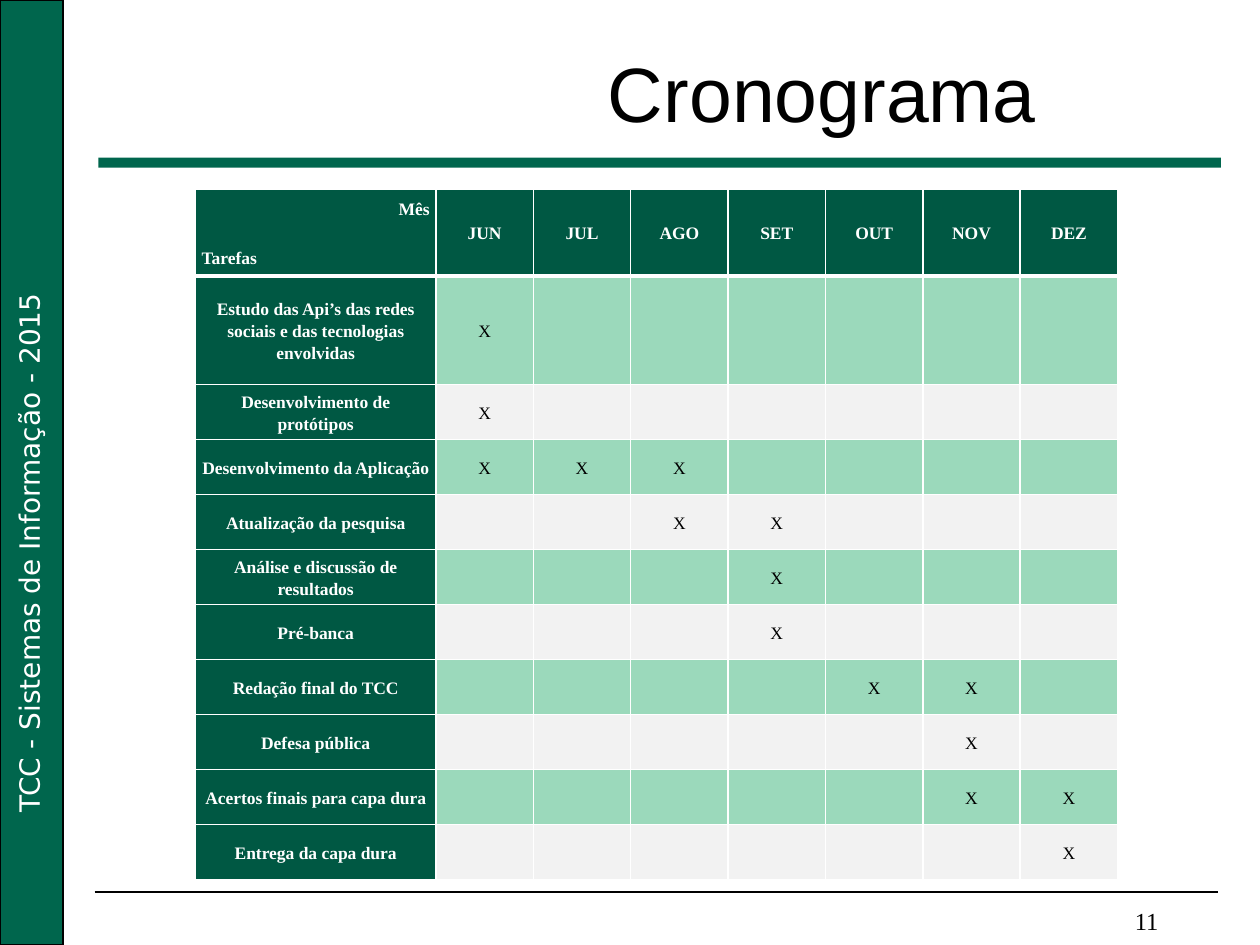
from lxml.etree import SubElement
from pptx import Presentation
from pptx.dml.color import RGBColor
from pptx.enum.shapes import MSO_CONNECTOR, MSO_SHAPE
from pptx.enum.text import MSO_ANCHOR, PP_ALIGN
from pptx.oxml import parse_xml
from pptx.oxml.ns import nsdecls, qn
from pptx.util import Inches, Pt

# Content
TITLE = "Cronograma"
SIDE_LABEL = "TCC - Sistemas de Informação - 2015"
PAGE_NUMBER = "11"
CORNER = ("Mês", "Tarefas")
MONTHS = ["JUN", "JUL", "AGO", "SET", "OUT", "NOV", "DEZ"]
TASKS = [
    ("Estudo das Api’s das redes sociais e das tecnologias envolvidas", ["JUN"]),
    ("Desenvolvimento de protótipos", ["JUN"]),
    ("Desenvolvimento da Aplicação", ["JUN", "JUL", "AGO"]),
    ("Atualização da pesquisa", ["AGO", "SET"]),
    ("Análise e discussão de resultados", ["SET"]),
    ("Pré-banca", ["SET"]),
    ("Redação final do TCC", ["OUT", "NOV"]),
    ("Defesa pública", ["NOV"]),
    ("Acertos finais para capa dura", ["NOV", "DEZ"]),
    ("Entrega da capa dura", ["DEZ"]),
]

# Style
BLACK = RGBColor(0x00, 0x00, 0x00)
WHITE = RGBColor(0xFF, 0xFF, 0xFF)
GREEN = RGBColor(0x00, 0x66, 0x4D)
DARK_GREEN = RGBColor(0x00, 0x58, 0x43)
LIGHT_GREEN = RGBColor(0x9B, 0xD9, 0xBB)
LIGHT_GRAY = RGBColor(0xF2, 0xF2, 0xF2)
SERIF = "Times New Roman"

# Table measures, in inches
TABLE_LEFT, TABLE_TOP, TABLE_WIDTH, TABLE_HEIGHT = 1.55, 1.5, 7.32, 5.48
TASK_WIDTH, HEADER_HEIGHT, FIRST_TASK_HEIGHT = 1.91, 0.69, 0.86
MONTH_WIDTH = (TABLE_WIDTH - TASK_WIDTH) / len(MONTHS)
TASK_HEIGHT = (TABLE_HEIGHT - HEADER_HEIGHT - FIRST_TASK_HEIGHT) / (len(TASKS) - 1)


def style_text(paragraph, size, font_name, color, align, bold=False):
    paragraph.alignment = align
    for run in paragraph.runs:
        font = run.font
        font.size, font.name, font.bold = Pt(size), font_name, bold
        font.color.rgb = color


def add_bar(slide, left, top, width, height):
    bar = slide.shapes.add_shape(MSO_SHAPE.RECTANGLE, Inches(left), Inches(top),
                                 Inches(width), Inches(height))
    bar.shadow.inherit = False
    bar.fill.solid()
    bar.fill.fore_color.rgb = GREEN
    bar.line.fill.background()
    return bar


def add_label(slide, text, box, size, font_name, color, align, wrap):
    label = slide.shapes.add_textbox(*map(Inches, box))
    label.text_frame.word_wrap = wrap
    label.text_frame.text = text
    style_text(label.text_frame.paragraphs[0], size, font_name, color, align)
    return label


def set_borders(cell, top=1, bottom=1):
    widths = {"lnL": 1, "lnR": 1, "lnT": top, "lnB": bottom}
    properties = cell._tc.get_or_add_tcPr()
    for position, (side, width) in enumerate(widths.items()):
        properties.insert(position, parse_xml(
            f'<a:{side} {nsdecls("a")} w="{Pt(width)}"><a:solidFill>'
            f'<a:srgbClr val="{WHITE}"/></a:solidFill></a:{side}>'))


def fill_cell(cell, text, row, column):
    heading = row == 0 or column == 0
    cell.margin_left = cell.margin_right = Inches(0.05)
    cell.margin_top = cell.margin_bottom = 0
    cell.vertical_anchor = MSO_ANCHOR.MIDDLE
    cell.fill.solid()
    band = LIGHT_GREEN if row % 2 else LIGHT_GRAY
    cell.fill.fore_color.rgb = DARK_GREEN if heading else band
    set_borders(cell, top=3 if row == 1 else 1, bottom=3 if row == 0 else 1)
    if text:
        cell.text_frame.text = text
        for paragraph in cell.text_frame.paragraphs:
            style_text(paragraph, 10, SERIF, WHITE if heading else BLACK,
                       PP_ALIGN.CENTER, heading)
            paragraph.line_spacing = 1.15


def add_schedule(slide):
    rows = [["\n".join(CORNER)] + MONTHS]
    for task, active in TASKS:
        rows.append([task] + ["X" if month in active else "" for month in MONTHS])
    table = slide.shapes.add_table(
        len(rows), len(rows[0]), Inches(TABLE_LEFT), Inches(TABLE_TOP),
        Inches(TABLE_WIDTH), Inches(TABLE_HEIGHT)).table

    widths = [TASK_WIDTH] + [MONTH_WIDTH] * len(MONTHS)
    for column, width in zip(table.columns, widths):
        column.width = Inches(width)
    heights = [HEADER_HEIGHT, FIRST_TASK_HEIGHT] + [TASK_HEIGHT] * (len(TASKS) - 1)
    for row, height in zip(table.rows, heights):
        row.height = Inches(height)

    for r, texts in enumerate(rows):
        for c, text in enumerate(texts):
            fill_cell(table.cell(r, c), text, r, c)

    # Corner cell: month heading at right, task heading at left
    month_heading, task_heading = table.cell(0, 0).text_frame.paragraphs
    month_heading.alignment = PP_ALIGN.RIGHT
    task_heading.alignment = PP_ALIGN.LEFT
    task_heading.space_before = Pt(15.5)


def main():
    prs = Presentation()
    prs.slide_width, prs.slide_height = Inches(10), Inches(7.5)
    slide = prs.slides.add_slide(prs.slide_layouts[5])

    # Side band with rotated label
    band = add_bar(slide, 0, 0, 0.5, 7.5)
    band.line.color.rgb = BLACK
    band.line.width = Pt(0.75)
    side_label = add_label(slide, SIDE_LABEL, (-2.01, 4.12, 4.48, 0.37), 16,
                           "DejaVu Sans", WHITE, PP_ALIGN.LEFT, False)
    side_label.rotation = 270

    # Footer line and title rule
    footer_line = slide.shapes.add_connector(
        MSO_CONNECTOR.STRAIGHT, Inches(0.75), Inches(7.08), Inches(9.67), Inches(7.08))
    footer_line.line.color.rgb = BLACK
    footer_line.line.width = Pt(0.75)
    SubElement(footer_line._element.spPr, qn("a:effectLst"))
    add_bar(slide, 0.78, 1.25, 8.91, 0.08)

    # Title
    title = slide.shapes.title
    title.left, title.top = Inches(3.44), Inches(0.23)
    title.width, title.height = Inches(6.17), Inches(1)
    title.text_frame.text = TITLE
    title.text_frame.vertical_anchor = MSO_ANCHOR.MIDDLE
    style_text(title.text_frame.paragraphs[0], 44, "Arial", BLACK, PP_ALIGN.CENTER)

    # Schedule and page number
    add_schedule(slide)
    add_label(slide, PAGE_NUMBER, (8.39, 7.14, 1.42, 0.34), 14, SERIF, BLACK,
              PP_ALIGN.CENTER, True)

    prs.save("out.pptx")


if __name__ == "__main__":
    main()
